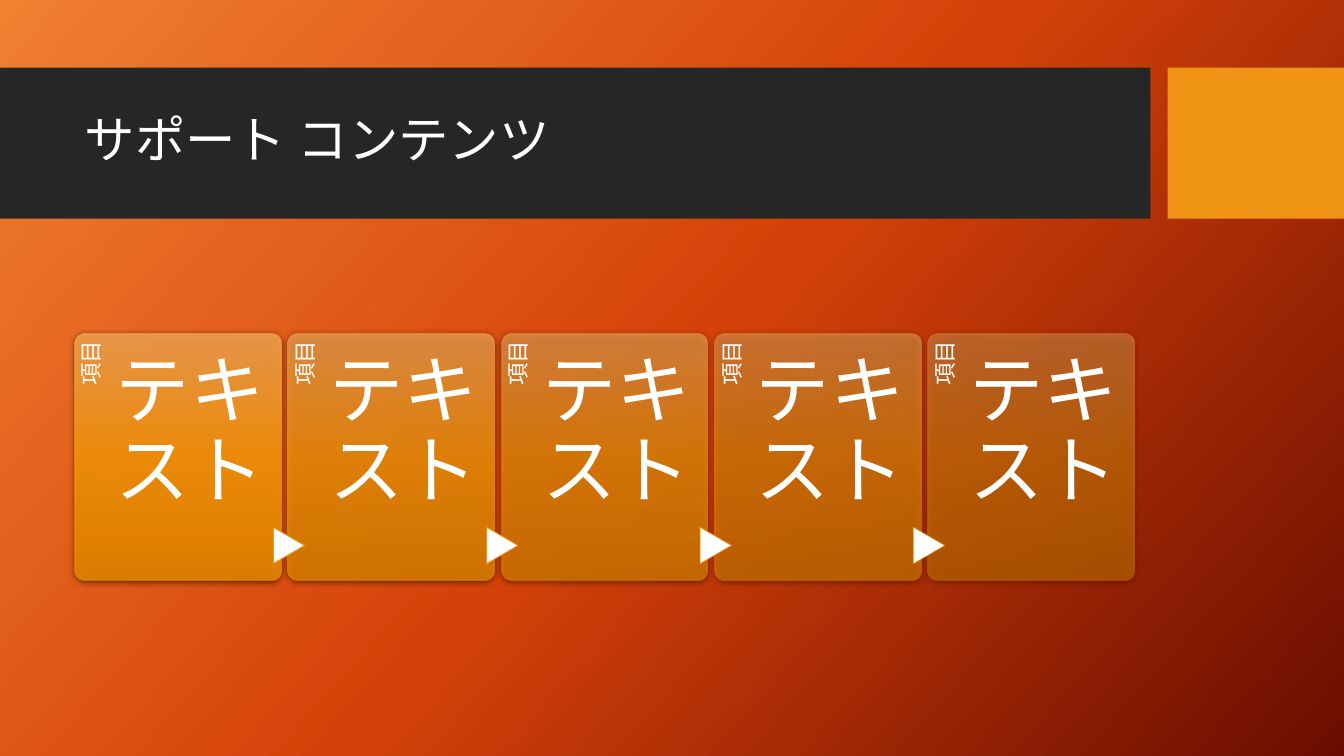
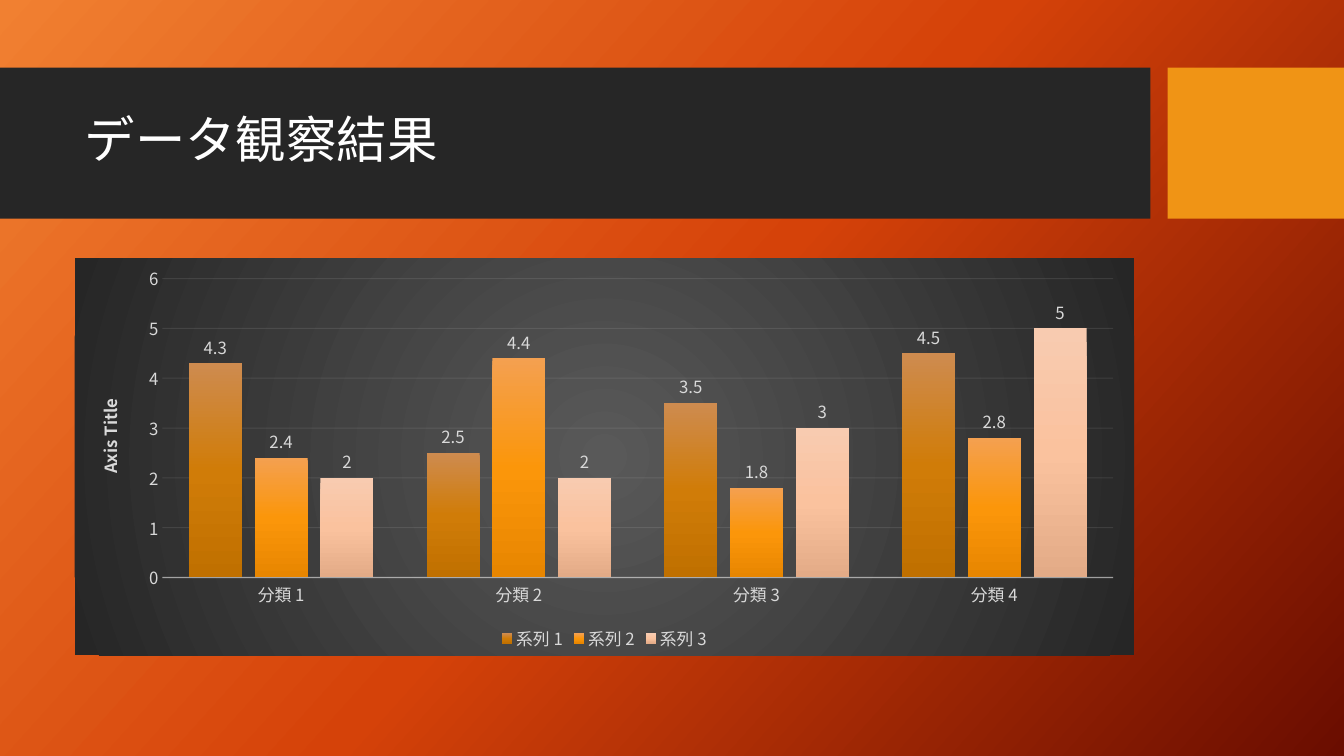
from collections import namedtuple
from dataclasses import dataclass

from pptx import Presentation
from pptx.chart.data import CategoryChartData
from pptx.dml.color import RGBColor
from pptx.enum.chart import XL_CHART_TYPE as Chart, XL_LABEL_POSITION as LabelSpot
from pptx.enum.chart import XL_LEGEND_POSITION as LegendSpot, XL_TICK_MARK as Tick
from pptx.enum.shapes import MSO_SHAPE as Preset
from pptx.enum.text import MSO_ANCHOR as Anchor, PP_ALIGN as Align
from pptx.oxml import parse_xml
from pptx.oxml.ns import nsdecls, qn
from pptx.util import Inches, Pt

NS = {prefix: nsdecls(prefix).split('"')[1] for prefix in "apc"}
Box = namedtuple("Box", "left top width height")


@dataclass(frozen=True)
class Theme:
    font: str = "Noto Sans CJK JP"
    white: str = "FFFFFF"
    dark: str = "262626"
    accent: str = "F09415"
    soft: str = "D9D9D9"
    rule: str = "F2F2F2"
    backdrop: tuple = ("F18031", "D54209", "6A0D00")
    orange: tuple = ("F4A050", "FB960A", "E88600")
    brown: tuple = ("CE8B4F", "D07C08", "C07000")
    peach: tuple = ("F8CBB0", "FAC29E", "E3AB87")
    panel: tuple = ("595959", "262626")
    title_size: int = 36
    card_size: int = 53
    label_size: int = 16
    chart_size: int = 12


THEME = Theme()
SLIDE = Box(0, 0, 13.33, 7.5)
BANDS = ((Box(0, 0.67, 11.41, 1.5), THEME.dark), (Box(11.58, 0.67, 1.75, 1.5), THEME.accent))
TITLE = Box(0.74, 0.82, 10.51, 1.18)
CONTENT = Box(0.74, 2.56, 10.51, 3.94)


def inches(box):
    return [Inches(length) for length in box]


def gradient(colors, angle=None):
    step = 100000 // (len(colors) - 1)
    stops = "".join(f'<a:gs pos="{i * step}"><a:srgbClr val="{color}"/></a:gs>'
                    for i, color in enumerate(colors))
    if angle is None:
        shade = ('<a:path path="circle"><a:fillToRect l="50000" t="50000" '
                 'r="50000" b="50000"/></a:path>')
    else:
        shade = f'<a:lin ang="{angle * 60000}" scaled="0"/>'
    return parse_xml(f'<a:gradFill {nsdecls("a")} rotWithShape="1">'
                     f'<a:gsLst>{stops}</a:gsLst>{shade}</a:gradFill>')


def paint_gradient(properties, colors, angle):
    properties.replace(properties.find("a:solidFill", NS), gradient(colors, angle))


def fade(root, where, percent):
    for color in root.find(where, NS).iter(qn("a:srgbClr")):
        color.append(parse_xml(f'<a:alpha {nsdecls("a")} val="{round(percent * 1000)}"/>'))


def set_font(font, size, color=THEME.white, bold=False):
    font.name = THEME.font
    font.size = Pt(size)
    font.bold = bold
    font.color.rgb = RGBColor.from_string(color)


def add_east_asian_font(root):
    for latin in list(root.iter(qn("a:latin"))):
        latin.addnext(parse_xml(f'<a:ea {nsdecls("a")} typeface="{THEME.font}"/>'))


def write(frame, text, size, align=Align.LEFT):
    frame.text = text
    frame.word_wrap = True
    para = frame.paragraphs[0]
    para.alignment = align
    para.line_spacing = 0.9
    for span in para.runs:
        set_font(span.font, size)


def add_text(page, box, text, size, insets, align=Align.LEFT):
    shape = page.shapes.add_textbox(*inches(box))
    frame = shape.text_frame
    (frame.margin_left, frame.margin_top,
     frame.margin_right, frame.margin_bottom) = inches(insets)
    write(frame, text, size, align)
    return shape


def add_filled(page, preset, box, color):
    shape = page.shapes.add_shape(preset, *inches(box))
    shape.shadow.inherit = False
    shape.fill.solid()
    shape.fill.fore_color.rgb = RGBColor.from_string(color)
    shape.line.fill.background()
    return shape


def design_layout(layout, page):
    layout.background.fill.solid()
    paint_gradient(layout.element.find(".//p:bgPr", NS), THEME.backdrop, 42)
    for i, (box, color) in enumerate(BANDS):
        band = add_filled(page, Preset.RECTANGLE, box, color)
        band.element.find(".//p:cNvPr", NS).set("id", str(100 + i))
        layout.shapes.element.insert(2 + i, band.element)
    title = layout.placeholders[0]
    title.left, title.top, title.width, title.height = inches(TITLE)


def write_title(page, text):
    frame = page.shapes.title.text_frame
    write(frame, text, THEME.title_size)
    frame.vertical_anchor = Anchor.MIDDLE


def add_card(page, box, label, text, opacity):
    card = add_filled(page, Preset.ROUNDED_RECTANGLE, box, THEME.accent)
    card.adjustments[0] = 0.05
    properties = card.element.find("p:spPr", NS)
    paint_gradient(properties, THEME.orange, 90)
    fade(properties, "a:gradFill", opacity)
    properties.find("a:effectLst", NS).append(parse_xml(
        f'<a:outerShdw {nsdecls("a")} blurRad="{Pt(4.5)}" dist="{Pt(1.5)}" dir="5400000" '
        'algn="ctr" rotWithShape="0"><a:srgbClr val="000000"><a:alpha val="63000"/>'
        '</a:srgbClr></a:outerShdw>'))
    strip, length = box.width * 0.2, box.height * 0.82
    tag_box = Box(box.left + (strip - length) / 2, box.top + (length - strip) / 2,
                  length, strip)
    tag = add_text(page, tag_box, label, THEME.label_size, (0, 0.06, 0.08, 0), Align.RIGHT)
    tag.rotation = 270
    add_text(page, Box(box.left + strip, box.top, box.width * 0.745, box.height),
             text, THEME.card_size, (0, 0.2, 0, 0))


def add_step_arrow(page, card_box, opacity):
    width, height = 0.36, 0.31
    box = Box(card_box.left + 0.01 - width / 2,
              card_box.top + card_box.height * 0.86 - height / 2, width, height)
    arrow = add_filled(page, Preset.FLOWCHART_EXTRACT, box, THEME.white)
    arrow.rotation = 90
    arrow.line.color.rgb = RGBColor.from_string(THEME.accent)
    arrow.line.width = Pt(0.75)
    fade(arrow.element, ".//a:ln", opacity)


def add_process(page, box, steps):
    gap, height = 0.07, 2.45
    width = (box.width - gap * (len(steps) - 1)) / len(steps)
    top = box.top + (box.height - height) / 2
    for i, (label, text) in enumerate(steps):
        card_box = Box(box.left + i * (width + gap), top, width, height)
        add_card(page, card_box, label, text, 90 - 10 * i)
        if i:
            add_step_arrow(page, card_box, 90 - 40 * (i - 1) / (len(steps) - 2))


def style_line(line, width):
    line.color.rgb = RGBColor.from_string(THEME.rule)
    line.width = Pt(width)


def style_axes(chart):
    for axis in (chart.category_axis, chart.value_axis):
        axis.major_tick_mark = axis.minor_tick_mark = Tick.NONE
        set_font(axis.tick_labels.font, THEME.chart_size, THEME.soft)
    style_line(chart.category_axis.format.line, 1)
    fade(chart.element, ".//c:catAx/c:spPr/a:ln", 54)
    values = chart.value_axis
    values.minimum_scale, values.maximum_scale, values.major_unit = 0, 6, 1
    values.format.line.fill.background()
    style_line(values.major_gridlines.format.line, 0.75)
    fade(chart.element, ".//c:majorGridlines/c:spPr/a:ln", 10)
    frame = values.axis_title.text_frame
    frame.text = "Axis Title"
    set_font(frame.paragraphs[0].runs[0].font, THEME.chart_size, THEME.soft, True)
    turned = chart.element.find(".//c:valAx/c:title//a:bodyPr", NS)
    turned.set("rot", "-5400000")
    turned.set("vert", "horz")


def add_column_chart(page, box, categories, series):
    data = CategoryChartData()
    data.categories = categories
    for name, values in series:
        data.add_series(name, values)
    chart = page.shapes.add_chart(Chart.COLUMN_CLUSTERED, *inches(box), data).chart
    set_font(chart.font, 10)
    chart.has_title = False
    chart.has_legend = True
    chart.legend.position = LegendSpot.BOTTOM
    chart.legend.include_in_layout = False
    set_font(chart.legend.font, THEME.chart_size, THEME.soft)
    plot = chart.plots[0]
    plot.vary_by_categories = False
    plot.gap_width, plot.overlap = 100, -24
    fills = (THEME.brown, THEME.orange, THEME.peach)
    nodes = chart.element.findall(".//c:ser", NS)
    for columns, node, colors in zip(plot.series, nodes, fills):
        columns.format.fill.solid()
        paint_gradient(node.find("c:spPr", NS), colors, 90)
        labels = columns.data_labels
        labels.show_value = True
        labels.position = LabelSpot.OUTSIDE_END
        set_font(labels.font, THEME.chart_size, THEME.soft)
    style_axes(chart)
    panel = parse_xml(f'<c:spPr {nsdecls("c", "a")}><a:ln><a:noFill/></a:ln></c:spPr>')
    panel.insert(0, gradient(THEME.panel))
    chart.element.find("c:chart", NS).addnext(panel)
    add_east_asian_font(chart.element)


def build():
    deck = Presentation()
    deck.slide_width, deck.slide_height = Inches(SLIDE.width), Inches(SLIDE.height)
    layout = deck.slide_layouts[5]
    support = deck.slides.add_slide(layout)
    design_layout(layout, support)
    write_title(support, "サポート コンテンツ")
    add_process(support, CONTENT, [("項目", "テキスト")] * 5)

    results = deck.slides.add_slide(layout)
    write_title(results, "データ観察結果")
    add_column_chart(results, CONTENT, [f"分類 {i}" for i in range(1, 5)], (
        ("系列 1", (4.3, 2.5, 3.5, 4.5)),
        ("系列 2", (2.4, 4.4, 1.8, 2.8)),
        ("系列 3", (2, 2, 3, 5))))
    for page in deck.slides:
        add_east_asian_font(page.element)
    deck.save("out.pptx")


build()
